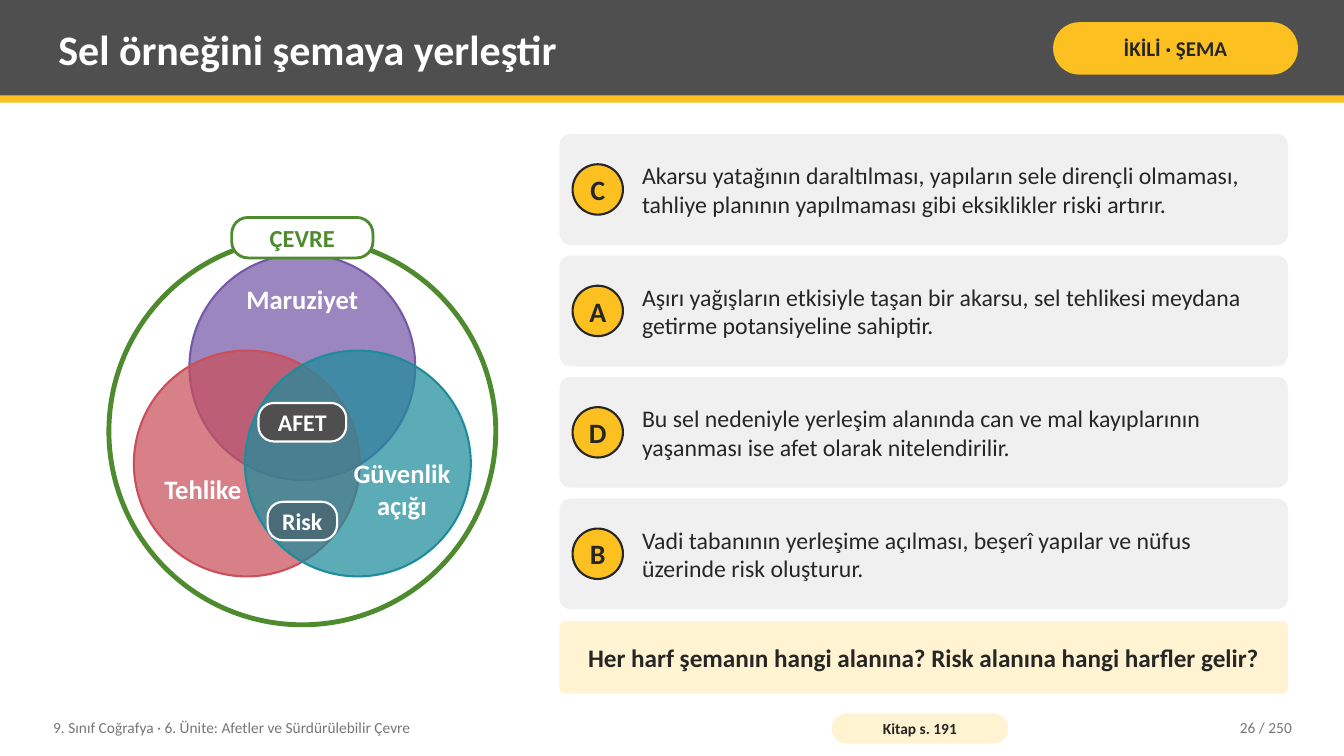
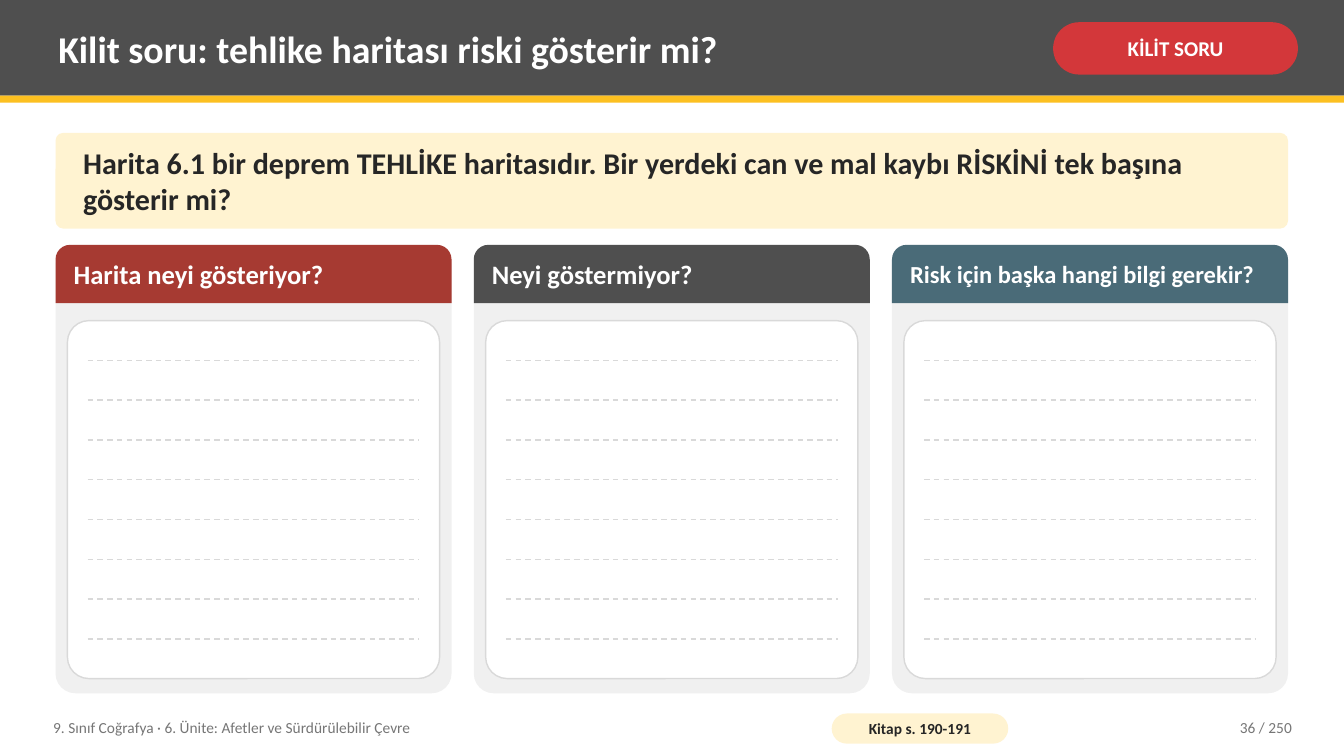
from dataclasses import dataclass
from lxml.etree import SubElement
from pptx import Presentation
from pptx.dml.color import RGBColor
from pptx.enum.dml import MSO_LINE
from pptx.enum.shapes import MSO_CONNECTOR, MSO_SHAPE
from pptx.enum.text import MSO_ANCHOR, MSO_AUTO_SIZE, PP_ALIGN
from pptx.oxml.ns import qn
from pptx.util import Cm, Pt


@dataclass(frozen=True)
class Theme:
    # Colours
    dark: str = "4F4F4F"
    gold: str = "FCC021"
    cream: str = "FFF3D1"
    pale: str = "F0F0F0"
    rule: str = "D9D9D9"
    ink: str = "262626"
    gray: str = "767676"
    white: str = "FFFFFF"
    green: str = "4E8A2E"
    violet: str = "7558A8"
    rose: str = "C94F5A"
    teal: str = "1E8C9C"
    slate: str = "4A6B78"
    red: str = "D3373A"
    brick: str = "A63A32"
    # Type
    font: str = "Calibri"
    title: float = 30
    long: float = 27
    query: float = 21.5
    badge: float = 20
    head: float = 19
    prompt: float = 18
    tight: float = 17.5
    body: float = 17
    pill: float = 15
    foot: float = 11


T = Theme()
ROUND, OVAL, RECT = MSO_SHAPE.ROUNDED_RECTANGLE, MSO_SHAPE.OVAL, MSO_SHAPE.RECTANGLE
LEFT, MID, RIGHT = PP_ALIGN.LEFT, PP_ALIGN.CENTER, PP_ALIGN.RIGHT


def draw(page, kind, x, y, w, h, fill, line=None, weight=1.5, adjust=()):
    shape = page.shapes.add_shape(kind, Cm(x), Cm(y), Cm(w), Cm(h))
    shape.shadow.inherit = False
    shape.fill.solid()
    shape.fill.fore_color.rgb = RGBColor.from_string(fill)
    if line:
        shape.line.color.rgb = RGBColor.from_string(line)
        shape.line.width = Pt(weight)
    else:
        shape.line.fill.background()
    for i, value in enumerate(adjust):
        shape.adjustments[i] = value
    return shape


def write(shape, text, size, color, bold=True, align=MID, inset=(0.05, 0, 0.05, 0)):
    frame = shape.text_frame
    frame.word_wrap = True
    frame.auto_size = MSO_AUTO_SIZE.NONE
    frame.vertical_anchor = MSO_ANCHOR.MIDDLE
    frame.margin_left, frame.margin_top, frame.margin_right, frame.margin_bottom = map(Cm, inset)
    par = frame.paragraphs[0]
    par.alignment = align
    run = par.add_run()
    run.text = text
    run.font.name, run.font.size, run.font.bold = T.font, Pt(size), bold
    run.font.color.rgb = RGBColor.from_string(color)


deck = Presentation()
deck.slide_width, deck.slide_height = Cm(33.87), Cm(19.05)
PAD = (0.2, 0.1, 0.2, 0.1)
EDGE, WIDE = 1.4, 31.06

# Shared frame: bands, title, pill and footer
pages = []
for title, size, tag, fill, ink, book, number in (
    ("Sel örneğini şemaya yerleştir", T.title, "İKİLİ · ŞEMA", T.gold, T.ink,
     "Kitap s. 191", "26 / 250"),
    ("Kilit soru: tehlike haritası riski gösterir mi?", T.long, "KİLİT SORU", T.red, T.white,
     "Kitap s. 190-191", "36 / 250"),
):
    page = deck.slides.add_slide(deck.slide_layouts[5])
    pages.append(page)
    name = page.shapes.title
    for y, h, color in ((0, 2.41, T.dark), (2.41, 0.18, T.gold)):
        band = draw(page, RECT, 0, y, 33.87, h, color)
        name.element.addprevious(band.element)
    name.left, name.top, name.width, name.height = Cm(1.27), Cm(0.18), Cm(24.77), Cm(2.08)
    write(name, title, size, T.white, align=LEFT, inset=PAD)
    pill = draw(page, ROUND, 26.54, 0.56, 6.17, 1.32, fill, adjust=[0.5])
    write(pill, tag, T.pill, ink)
    for text, x, w, align in (
        ("9. Sınıf Coğrafya · 6. Ünite: Afetler ve Sürdürülebilir Çevre", 1.14, 19.3, LEFT),
        (number, 28.7, 4.06, RIGHT),
    ):
        note = page.shapes.add_textbox(Cm(x), Cm(17.88), Cm(w), Cm(0.91))
        write(note, text, T.foot, T.gray, bold=False, align=align, inset=PAD)
    pill = draw(page, ROUND, 20.96, 17.98, 4.45, 0.76, T.cream, adjust=[0.5])
    write(pill, book, T.foot, T.ink)

first, second = pages

# Diagram: ring and three see-through circles, placed by centre
MIDX, RING, DISC = 7.62, 9.75, 5.69
draw(first, OVAL, MIDX - RING / 2, 10.87 - RING / 2, RING, RING, T.white, T.green, 3.5)
for shift, y, color in ((0, 9.25, T.violet), (-1.4, 11.68, T.rose), (1.4, 11.68, T.teal)):
    disc = draw(first, OVAL, MIDX + shift - DISC / 2, y - DISC / 2, DISC, DISC, color, color)
    tint = disc.element.spPr.find(qn("a:solidFill"))[0]
    SubElement(tint, qn("a:alpha")).set("val", "72000")

# Diagram labels
for text, shift, y, w, h in (
    ("Maruziyet", 0, 7.53, 4.27, 1.19),
    ("Tehlike", -2.51, 12.33, 2.69, 1.19),
    ("Güvenlik açığı", 2.51, 12.31, 2.69, 1.75),
):
    label = first.shapes.add_textbox(Cm(MIDX + shift - w / 2), Cm(y - h / 2), Cm(w), Cm(h))
    write(label, text, T.head, T.white)
for text, y, w, h, fill, ink, weight, size in (
    ("Risk", 13.13, 1.75, 0.97, T.slate, T.white, 1.5, T.body),
    ("AFET", 10.64, 2.21, 0.97, T.dark, T.white, 1.5, T.body),
    ("ÇEVRE", 5.99, 3.56, 1.02, T.white, T.green, 2, T.tight),
):
    tag = draw(first, ROUND, MIDX - w / 2, y - h / 2, w, h, fill, ink, weight, [0.4])
    write(tag, text, size, ink)

# Lettered cards
CARDX, CARDW, CARDH, DOT = 14.1, 18.36, 2.79, 1.27
for i, (key, text) in enumerate((
    ("C", "Akarsu yatağının daraltılması, yapıların sele dirençli olmaması, "
          "tahliye planının yapılmaması gibi eksiklikler riski artırır."),
    ("A", "Aşırı yağışların etkisiyle taşan bir akarsu, sel tehlikesi meydana "
          "getirme potansiyeline sahiptir."),
    ("D", "Bu sel nedeniyle yerleşim alanında can ve mal kayıplarının "
          "yaşanması ise afet olarak nitelendirilir."),
    ("B", "Vadi tabanının yerleşime açılması, beşerî yapılar ve nüfus "
          "üzerinde risk oluşturur."),
)):
    y = 3.38 + i * 3.06
    card = draw(first, ROUND, CARDX, y, CARDW, CARDH, T.pale, adjust=[0.1])
    write(card, text, T.body, T.ink, bold=False, align=LEFT, inset=(2, 0.1, 0.38, 0.1))
    dot = draw(first, OVAL, CARDX + 0.33, y + (CARDH - DOT) / 2, DOT, DOT, T.gold, T.ink)
    write(dot, key, T.badge, T.ink, inset=(0, 0, 0, 0))

# Prompt under the cards
prompt = draw(first, ROUND, CARDX, 15.65, CARDW, 1.83, T.cream, adjust=[0.08])
write(prompt, "Her harf şemanın hangi alanına? Risk alanına hangi harfler gelir?",
      T.prompt, T.ink, inset=(0.36, 0.2, 0.36, 0.2))

# Key question
query = draw(second, ROUND, EDGE, 3.35, WIDE, 2.41, T.cream, adjust=[0.08])
write(query, "Harita 6.1 bir deprem TEHLİKE haritasıdır. Bir yerdeki can ve mal kaybı "
      "RİSKİNİ tek başına gösterir mi?", T.query, T.ink, align=LEFT,
      inset=(0.64, 0.2, 0.64, 0.2))

# Answer columns with ruled paper
GAP, TOP, ROWS, PAPERH = 0.56, 6.17, 9, 9.02
COLW = (WIDE - 2 * GAP) / 3
for i, (text, size, color) in enumerate((
    ("Harita neyi gösteriyor?", T.head, T.brick),
    ("Neyi göstermiyor?", T.head, T.dark),
    ("Risk için başka hangi bilgi gerekir?", T.tight, T.slate),
)):
    x = EDGE + i * (COLW + GAP)
    draw(second, ROUND, x, TOP, COLW, 11.3, T.pale, adjust=[0.05])
    head = draw(second, MSO_SHAPE.ROUND_2_SAME_RECTANGLE, x, TOP, COLW, 1.47, color,
                adjust=[0.25, 0])
    write(head, text, size, T.white, align=LEFT, inset=(0.35, 0, 0.35, 0.1))
    draw(second, ROUND, x + 0.3, 8.08, COLW - 0.6, PAPERH, T.white, T.rule, 1, [0.06])
    for row in range(1, ROWS):
        y = Cm(8.08 + row * PAPERH / ROWS)
        line = second.shapes.add_connector(
            MSO_CONNECTOR.STRAIGHT, Cm(x + 0.81), y, Cm(x + COLW - 0.81), y)
        line.line.color.rgb = RGBColor.from_string(T.rule)
        line.line.width = Pt(1)
        line.line.dash_style = MSO_LINE.DASH
        SubElement(line.element.spPr, qn("a:effectLst"))

deck.save("out.pptx")
